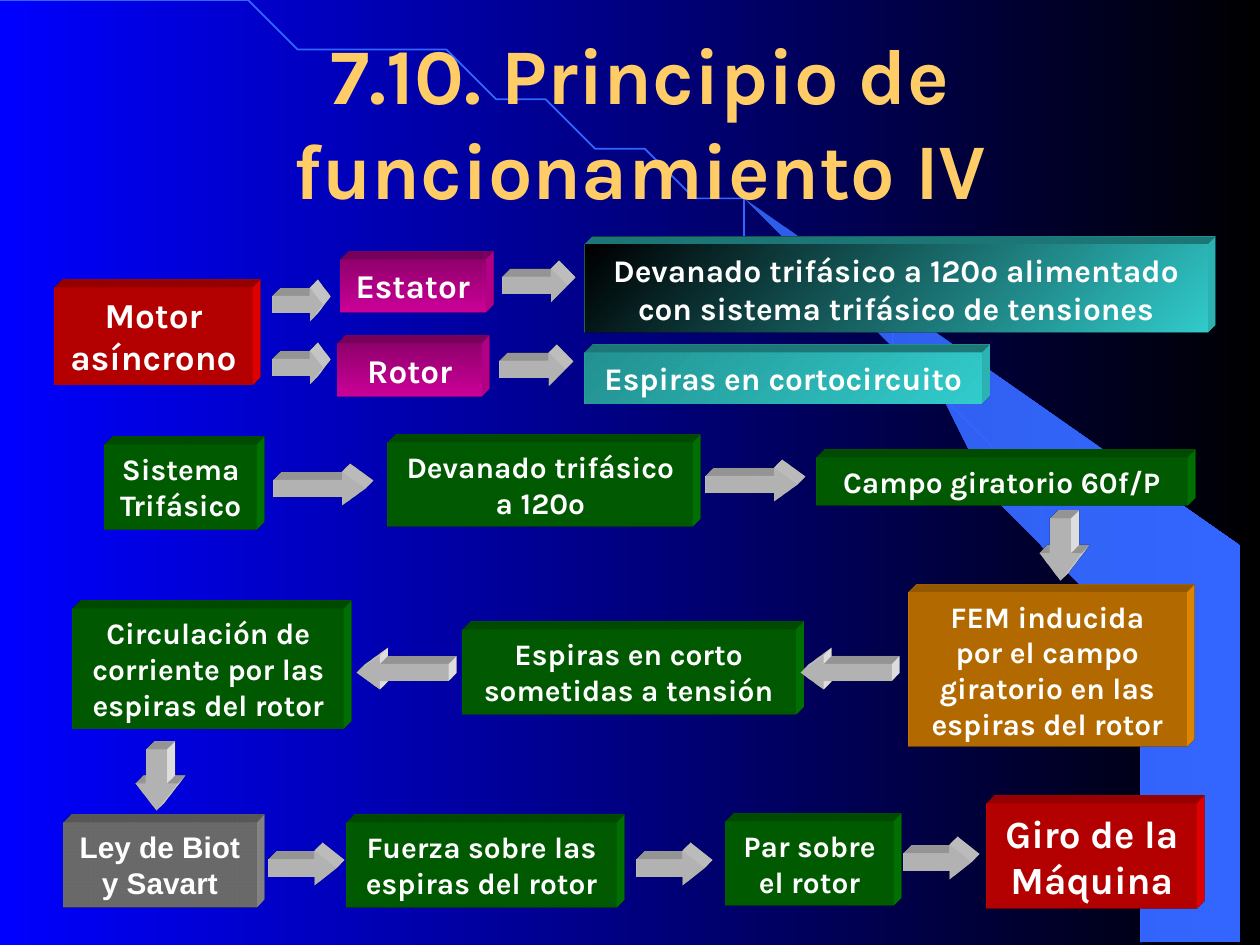
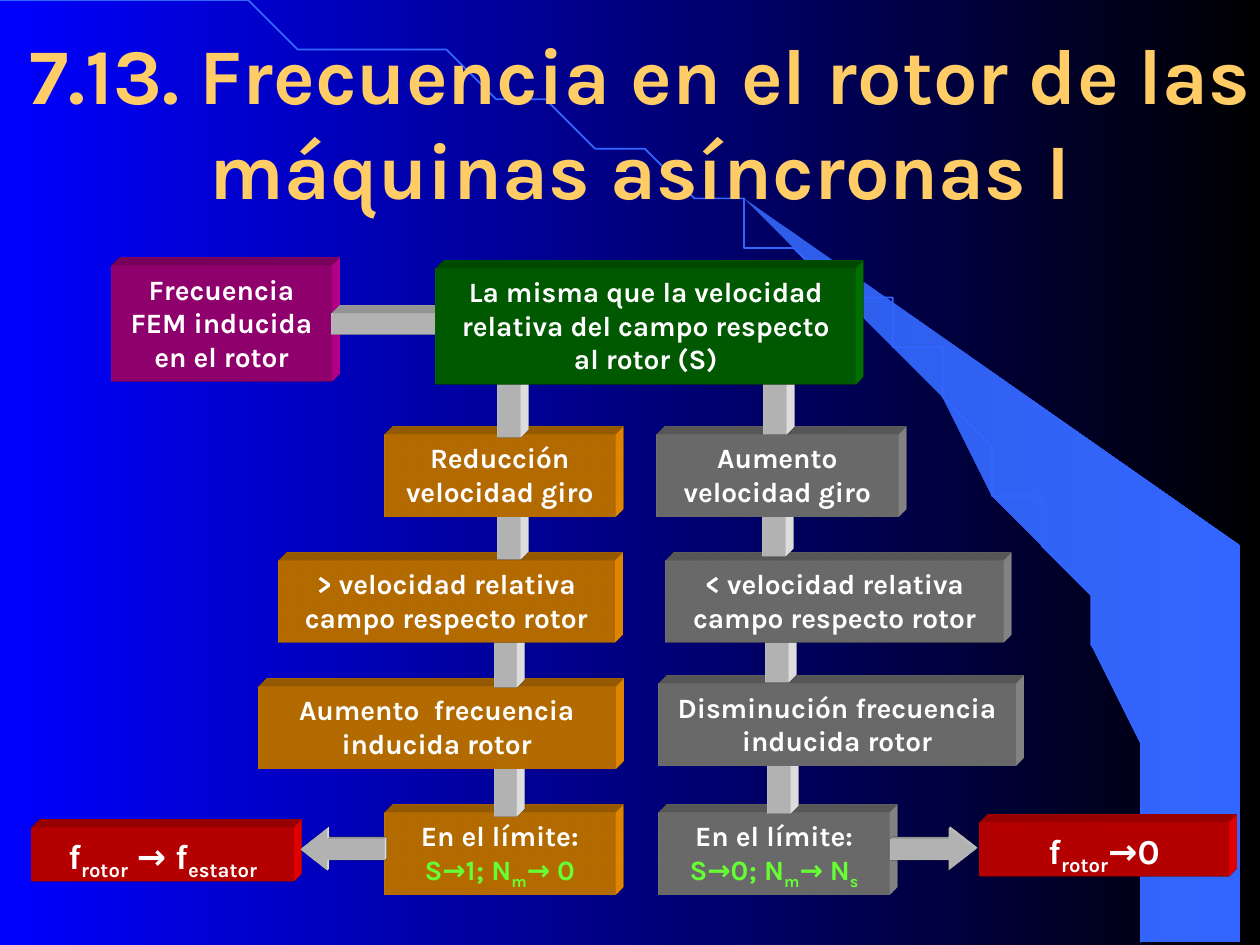
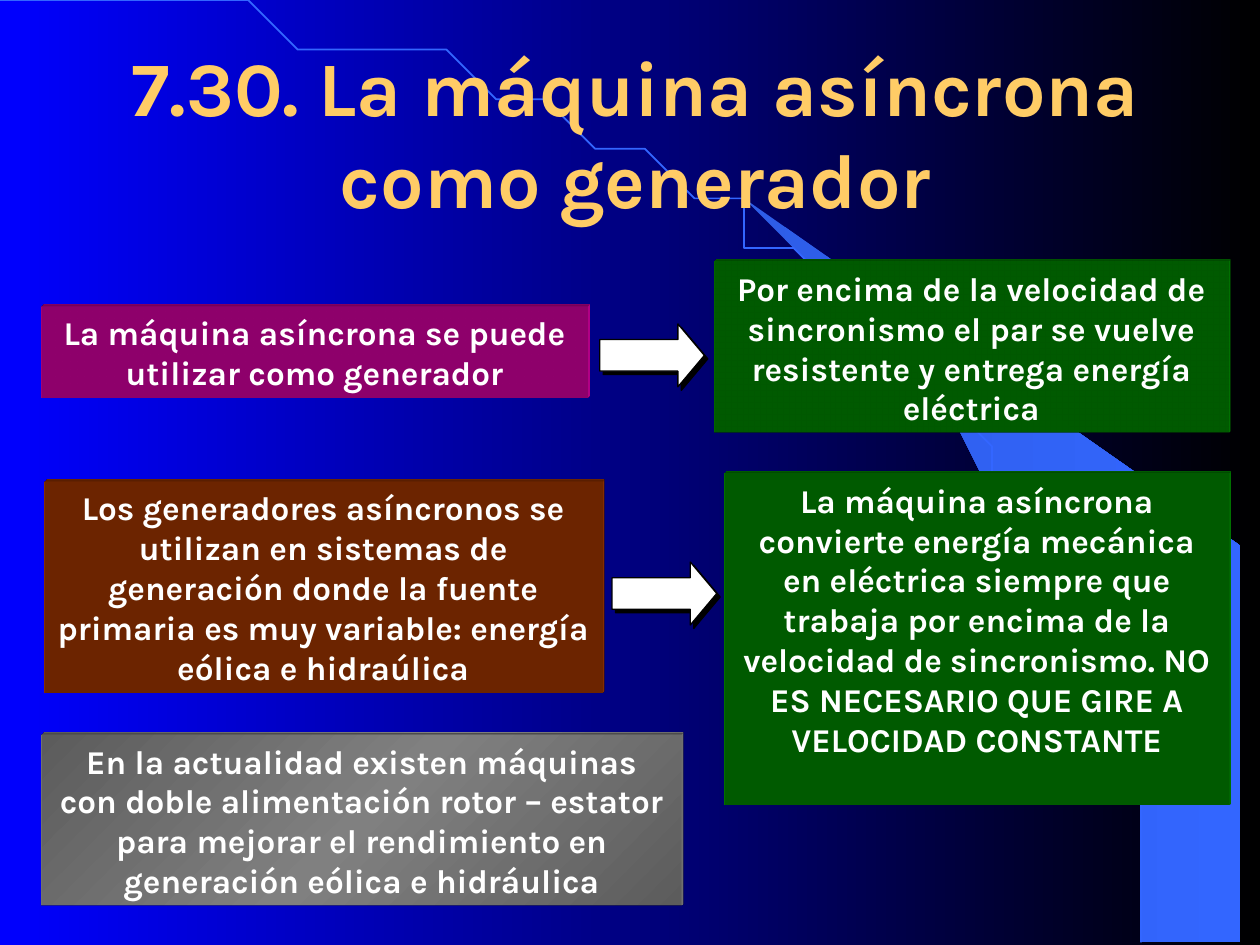
from copy import deepcopy
from math import cos, pi, sin

from pptx import Presentation
from pptx.dml.color import RGBColor
from pptx.enum.shapes import MSO_SHAPE
from pptx.enum.text import MSO_ANCHOR, PP_ALIGN
from pptx.oxml import parse_xml
from pptx.oxml.ns import nsdecls, qn
from pptx.util import Cm, Pt

RECT = MSO_SHAPE.RECTANGLE
RIGHT = MSO_SHAPE.RIGHT_ARROW
LEFT = MSO_SHAPE.LEFT_ARROW
DOWN = MSO_SHAPE.DOWN_ARROW
CENTER = PP_ALIGN.CENTER
TOP = MSO_ANCHOR.TOP
MIDDLE = MSO_ANCHOR.MIDDLE

BLACK = RGBColor(0x00, 0x00, 0x00)
WHITE = RGBColor(0xFF, 0xFF, 0xFF)
BLUE = RGBColor(0x00, 0x00, 0xFF)
SKY = RGBColor(0x33, 0x66, 0xFF)
DUSK = RGBColor(0x2E, 0x5D, 0xE7)
GOLD = RGBColor(0xFF, 0xCC, 0x66)
RED = RGBColor(0xFF, 0x00, 0x00)
GREEN = RGBColor(0x00, 0x80, 0x00)
LIME = RGBColor(0x66, 0xFF, 0x33)
ORANGE = RGBColor(0xFF, 0x99, 0x00)
BROWN = RGBColor(0x99, 0x33, 0x00)
GREY = RGBColor(0x96, 0x96, 0x96)
PINK = RGBColor(0xCC, 0x00, 0x99)
PLUM = RGBColor(0x92, 0x00, 0x6D)
TEAL = RGBColor(0x33, 0xCC, 0xCC)
POND = RGBColor(0x24, 0x92, 0x92)
SLATE = RGBColor(0x5C, 0x5C, 0x5C)
STONE = RGBColor(0x80, 0x80, 0x80)

FONT = "Karla"
DEEP = Cm(0.46)
THIN = Cm(0.11)


def paint(fill, tone):
    if isinstance(tone, RGBColor):
        fill.solid()
        fill.fore_color.rgb = tone
        return
    angle, first, last = tone
    fill.gradient()
    fill.gradient_angle = -angle % 360
    for stop, color, spot in zip(fill.gradient_stops, (first, last), (0, 1)):
        stop.color.rgb = color
        stop.position = spot


def solid(slide, kind, place, tone, depth=DEEP, head=None, text="", size=17, face=FONT):
    shape = slide.shapes.add_shape(kind, *[Cm(v) for v in place])
    shape.shadow.inherit = False
    shape.line.fill.background()
    paint(shape.fill, tone)
    if head:
        shape.adjustments[1] = head
    if depth:
        side = tone if isinstance(tone, RGBColor) else tone[-1]
        props = shape._element.spPr
        props.append(parse_xml(
            f'<a:scene3d {nsdecls("a")}><a:camera prst="legacyObliqueTopRight"/>'
            '<a:lightRig rig="legacyFlat3" dir="b"/></a:scene3d>'))
        props.append(parse_xml(
            f'<a:sp3d {nsdecls("a")} extrusionH="{depth}" prstMaterial="legacyMatte">'
            '<a:bevelT w="13500" h="13500" prst="angle"/>'
            '<a:bevelB w="13500" h="13500" prst="angle"/>'
            f'<a:extrusionClr><a:srgbClr val="{side}"/></a:extrusionClr></a:sp3d>'))
    if text:
        frame = shape.text_frame
        frame.word_wrap = True
        frame.vertical_anchor = TOP
        for i, line in enumerate(text.split("\n")):
            para = frame.add_paragraph() if i else frame.paragraphs[0]
            para.alignment = CENTER
            para.font.name = face
            para.font.size = Pt(size)
            para.font.bold = True
            para.font.color.rgb = WHITE
            for j, part in enumerate(line.split("~")):
                if part:
                    run = para.add_run()
                    run.text = part
                    if j % 2:
                        run._r.get_or_add_rPr().set("baseline", "-25000")
    return shape


prs = Presentation()
prs.slide_width, prs.slide_height = Cm(25.4), Cm(19.05)

SAIL = [(23.37, 19), (25.37, 19.02), (25.37, 10.74), (14.96, 4.39), (15.85, 5.05),
        (16.59, 5.64), (17.4, 6.35), (18.19, 7.11), (19.35, 8.38), (20.4, 9.75),
        (21.13, 10.95), (21.79, 12.17), (22.3, 13.41), (22.68, 14.53),
        (22.94, 15.47), (23.19, 16.66), (23.29, 17.68)]
STEPS = 48
ARC = [(23.37 * sin(pi / 2 * i / STEPS), 19.02 * (1 - cos(pi / 2 * i / STEPS)))
       for i in range(STEPS + 1)]

titles = [
    ("7.10. Principio de funcionamiento IV", 45, (0.2, 0.84, 25.4, 3.18)),
    ("7.13. Frecuencia en el rotor de las máquinas asíncronas I", 45, (0.2, 0.84, 25.4, 3.18)),
    ("7.30. La máquina asíncrona como generador", 44, (0.43, 1.07, 24.77, 3.18)),
]
slides = []
for title, size, place in titles:
    slide = prs.slides.add_slide(prs.slide_layouts[6])
    slides.append(slide)
    paint(slide.background.fill, (0, BLUE, BLACK))
    for points, closed in ((SAIL, True), (ARC, False)):
        pen = slide.shapes.build_freeform(*points[0], scale=Cm(1))
        pen.add_line_segments(points[1:], close=closed)
        curve = pen.convert_to_shape()
        curve.shadow.inherit = False
        if closed:
            paint(curve.fill, (0, DUSK, SKY))
            curve.line.fill.background()
        else:
            curve.fill.background()
            curve.line.color.rgb = SKY
            curve.line.width = Pt(1)
    frame = slide.shapes.add_textbox(*[Cm(v) for v in place]).text_frame
    frame.word_wrap = True
    frame.vertical_anchor = MIDDLE
    para = frame.paragraphs[0]
    para.text = title
    para.alignment = CENTER
    para.font.name = FONT
    para.font.size = Pt(size)
    para.font.bold = True
    para.font.color.rgb = GOLD

motor, rotor, wind = slides

for text, size, tone, place in [
    ("Motor asíncrono", 20, RED, (1.09, 5.79, 4.01, 1.96)),
    ("Estator", 19, (90, PLUM, PINK), (6.86, 5.23, 2.92, 1.07)),
    ("Rotor", 19, (90, PLUM, PINK), (6.81, 6.93, 2.9, 1.07)),
    ("Devanado trifásico a 120º alimentado\ncon sistema trifásico de tensiones", 18,
     (45, BLACK, TEAL), (11.79, 4.93, 12.55, 1.78)),
    ("Espiras en cortocircuito", 18, (45, POND, TEAL), (11.79, 7.11, 8, 1.02)),
    ("Sistema\nTrifásico", 17, GREEN, (2.11, 8.97, 3.07, 1.7)),
    ("Devanado trifásico\na 120º", 17, GREEN, (7.82, 8.92, 6.15, 1.7)),
    ("Campo giratorio 60f/P", 17, GREEN, (16.46, 9.22, 7.47, 0.97)),
    ("FEM inducida\npor el campo\ngiratorio en las\nespiras del rotor", 17,
     ORANGE, (18.31, 11.94, 5.61, 3.12)),
    ("Espiras en corto\nsometidas a tensión", 17, GREEN, (9.32, 12.7, 6.71, 1.7)),
    ("Circulación de\ncorriente por las\nespiras del rotor", 17, GREEN,
     (1.47, 12.27, 5.46, 2.41)),
    ("Fuerza sobre las\nespiras del rotor", 17, GREEN, (6.99, 16.59, 5.44, 1.7)),
    ("Par sobre\nel rotor", 17, GREEN, (14.63, 16.56, 3.38, 1.7)),
    ("Giro de la\nMáquina", 22, RED, (19.89, 16.21, 4.24, 2.11)),
]:
    solid(motor, RECT, place, tone, text=text, size=size)
solid(motor, RECT, (1.27, 16.59, 3.91, 1.7), GREY, text="Ley de Biot\ny Savart", face="Arial")

for kind, wide, high, head, spots in [
    (RIGHT, 1.02, 0.69, 0.38, [(5.49, 5.79), (5.49, 7.06)]),
    (RIGHT, 1.32, 0.69, 0.49, [(10.13, 5.41), (10.08, 7.11)]),
    (RIGHT, 1.85, 0.69, 0.69, [(5.51, 9.5), (14.22, 9.42)]),
    (LEFT, 1.85, 0.69, 0.69, [(16.13, 13.21), (7.19, 13.21)]),
    (DOWN, 0.84, 1.24, 0.66, [(20.96, 10.46), (2.74, 15.11)]),
    (RIGHT, 1.37, 0.71, 0.63, [(5.41, 17.15), (12.83, 17.15), (18.21, 17.02)]),
]:
    for x, y in spots:
        solid(motor, kind, (x, y, wide, high), WHITE, head=head)

solid(rotor, RECT, (2.24, 5.36, 4.45, 2.34), PINK, size=16,
      text="Frecuencia FEM inducida\nen el rotor")
for tone, steps in [
    (ORANGE, [
        ("En el límite:\nS→1; N~m~→ 0", 7.75, 16.38, 4.65, 9.96, 14.83),
        ("Aumento  frecuencia inducida rotor", 5.21, 13.84, 7.19, 9.96, 12.24),
        ("> velocidad relativa campo respecto rotor", 5.61, 11.3, 6.78, 10.03, 9.65),
        ("Reducción\nvelocidad giro", 7.75, 8.76, 4.65, 10.03, 7.19),
    ]),
    (GREY, [
        ("En el límite:\nS→0; N~m~→ N~s~", 13.28, 16.38, 4.65, 15.47, 14.78),
        ("Disminución frecuencia inducida rotor", 13.28, 13.79, 7.19, 15.44, 12.14),
        ("< velocidad relativa campo respecto rotor", 13.41, 11.3, 6.83, 15.37, 9.6),
        ("Aumento\nvelocidad giro", 13.23, 8.76, 4.88, 15.39, 7.14),
    ]),
]:
    for text, x, y, wide, barx, bary in steps:
        box = solid(rotor, RECT, (x, y, wide, 1.65), tone, text=text, size=16)
        if "límite" in text:
            box.text_frame.paragraphs[1].font.color.rgb = LIME
        solid(rotor, RECT, (barx, bary, 0.46, 1.63), WHITE)
solid(rotor, RECT, (6.68, 6.32, 2.34, 0.43), WHITE)
solid(rotor, RECT, (8.79, 5.41, 8.46, 2.34), GREEN, size=16,
      text="La misma que la velocidad relativa del campo respecto al rotor (S)")
for text, place, kind, x in [
    ("f~rotor~ → f~estator~", (0.64, 16.69, 5.28, 1.09), LEFT, 6.05),
    ("f~rotor~→0", (19.74, 16.59, 5.03, 1.09), RIGHT, 17.96),
]:
    solid(rotor, RECT, place, RED, text=text, size=20)
    solid(rotor, kind, (x, 16.71, 1.7, 0.84), WHITE, THIN, 0.65)

for text, tone, place in [
    ("La máquina asíncrona se puede utilizar como generador", PINK, (0.84, 6.17, 11, 1.85)),
    ("Por encima de la velocidad de sincronismo el par se vuelve resistente y entrega "
     "energía eléctrica", GREEN, (14.4, 5.28, 10.36, 3.45)),
    ("Los generadores asíncronos se utilizan en sistemas de generación donde la fuente "
     "primaria es muy variable: energía eólica e hidraúlica", BROWN, (0.89, 9.7, 11.25, 4.27)),
    ("La máquina asíncrona convierte energía mecánica en eléctrica siempre que trabaja por "
     "encima de la velocidad de sincronismo. NO ES NECESARIO QUE GIRE A VELOCIDAD CONSTANTE",
     GREEN, (14.61, 9.55, 10.16, 6.68)),
    ("En la actualidad existen máquinas con doble alimentación rotor – estator para mejorar "
     "el rendimiento en generación eólica e hidráulica", (45, SLATE, STONE),
     (0.84, 14.81, 12.9, 3.45)),
]:
    box = solid(wind, RECT, place, tone, THIN, text=text, size=19)
stops = box._element.spPr.find(".//" + qn("a:gsLst"))
last = deepcopy(stops[0])
last.set("pos", "100000")
stops[1].set("pos", "50000")
stops.append(last)

for x, y in [(12.09, 6.53), (12.34, 11.33)]:
    arrow = solid(wind, RIGHT, (x, y, 2.11, 1.27), WHITE, 0, 0.42)
    arrow.line.color.rgb = BLACK
    arrow.line.width = Pt(0.75)
    arrow._element.spPr.find(qn("a:effectLst")).append(parse_xml(
        f'<a:outerShdw {nsdecls("a")} dist="{Pt(2.8)}" dir="2700000" algn="ctr">'
        f'<a:srgbClr val="{BLACK}"/></a:outerShdw>'))

prs.save("out.pptx")
